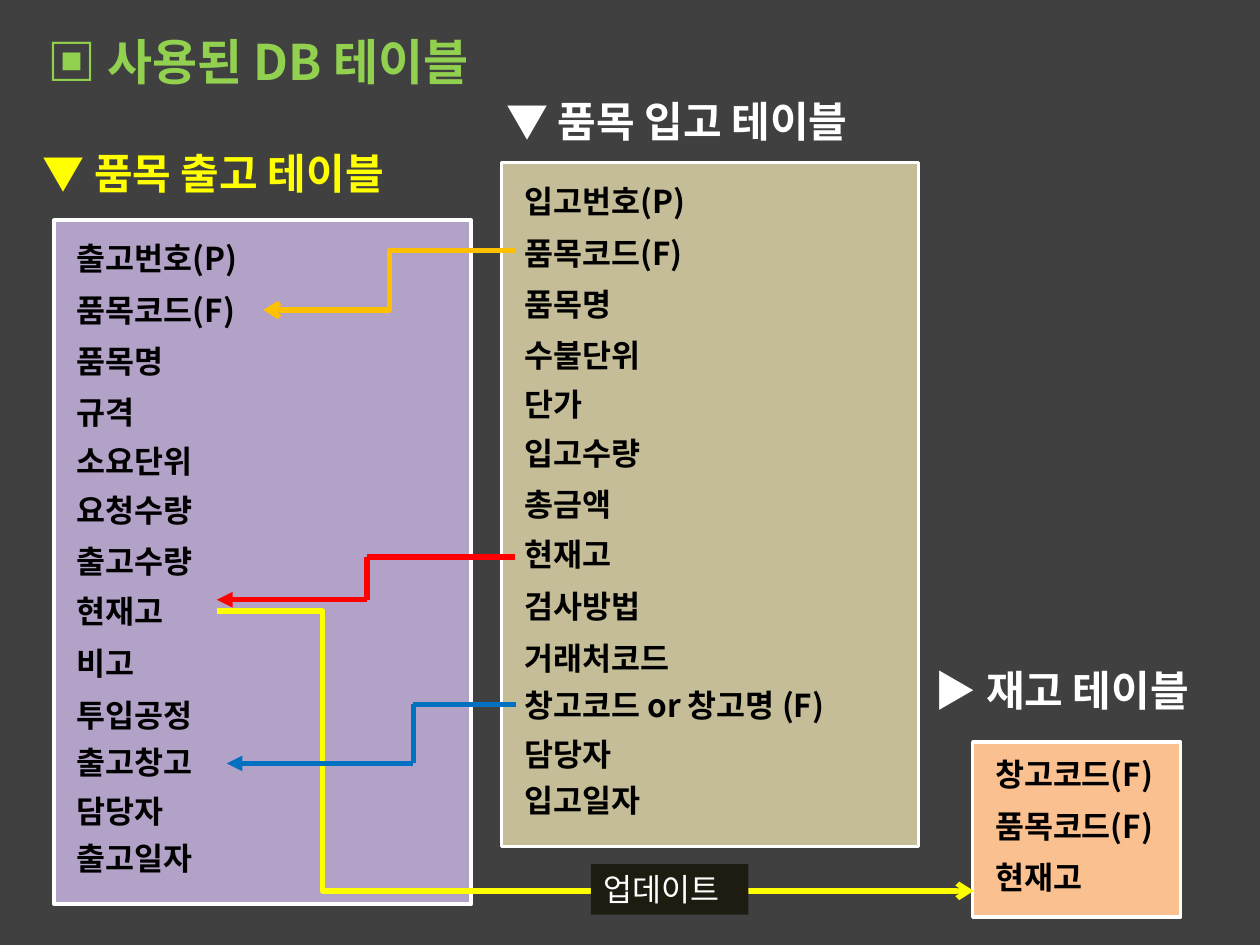
from dataclasses import dataclass
from itertools import pairwise

from lxml import etree
from pptx import Presentation
from pptx import util as u
from pptx.dml.color import RGBColor
from pptx.enum import shapes, text
from pptx.oxml.ns import qn


@dataclass(frozen=True)
class Theme:
    font: str = "Noto Sans CJK KR"
    backdrop: str = "404040"
    green: str = "92D050"
    yellow: str = "FFFF00"
    white: str = "FFFFFF"
    black: str = "000000"
    purple: str = "B3A2C7"
    khaki: str = "C4BD97"
    peach: str = "FAC090"
    label: str = "1E1C11"
    red: str = "FF0000"
    orange: str = "FFC000"
    blue: str = "0070C0"
    title_size: int = 28
    heading_size: int = 24
    field_size: int = 18
    border: int = 2
    connector: int = 3


FIELD_OFFSETS = (0, 1.04, 2.07, 3.1, 4.09, 5.08, 6.1, 7.11, 8.15, 9.2, 10.16, 11.15, 12.08)
FIELD_HEIGHT = 1.02


def set_values(target, values):
    for name, value in values.items():
        setattr(target, name, value)


class SlideBuilder:
    def __init__(self, slide, theme):
        self.slide = slide
        self.theme = theme

    def add_words(self, shape, words, size, color, bold=True):
        frame = shape.text_frame
        set_values(frame, {
            "word_wrap": True,
            "auto_size": text.MSO_AUTO_SIZE.SHAPE_TO_FIT_TEXT,
            "vertical_anchor": text.MSO_ANCHOR.TOP,
        })
        paragraph = frame.paragraphs[0]
        paragraph.alignment = text.PP_ALIGN.LEFT
        run = paragraph.add_run()
        run.text = words
        set_values(run.font, {"name": self.theme.font, "size": u.Pt(size), "bold": bold})
        run.font.color.rgb = RGBColor.from_string(color)
        east_asian = etree.SubElement(run.font._element, qn("a:ea"))
        east_asian.set("typeface", self.theme.font)

    def text_box(self, words, left, top, width, height, size, color):
        shape = self.slide.shapes.add_textbox(*map(u.Cm, (left, top, width, height)))
        self.add_words(shape, words, size, color)

    def rectangle(self, left, top, width, height, fill, border=None):
        shape = self.slide.shapes.add_shape(
            shapes.MSO_SHAPE.RECTANGLE, *map(u.Cm, (left, top, width, height)))
        shape.shadow.inherit = False
        shape.fill.solid()
        shape.fill.fore_color.rgb = RGBColor.from_string(fill)
        if border:
            shape.line.color.rgb = RGBColor.from_string(border)
            shape.line.width = u.Pt(self.theme.border)
        else:
            shape.line.fill.background()
        return shape

    def fields(self, names, left, top, width=3.99):
        for name, offset in zip(names, FIELD_OFFSETS):
            field_width = 7.8 if " or " in name else width
            self.text_box(name, left, top + offset, field_width, FIELD_HEIGHT,
                          self.theme.field_size, self.theme.black)

    def connector(self, begin, end, color, head=None, bend=None):
        kind = shapes.MSO_CONNECTOR.STRAIGHT if bend is None else shapes.MSO_CONNECTOR.ELBOW
        connector = self.slide.shapes.add_connector(kind, *map(u.Cm, (*begin, *end)))
        connector.line.color.rgb = RGBColor.from_string(color)
        connector.line.width = u.Pt(self.theme.connector)
        properties = connector._element.spPr
        if head:
            etree.SubElement(properties.find(qn("a:ln")), qn("a:tailEnd")).set("type", head)
        if bend is not None:
            adjustments = properties.find(qn("a:prstGeom")).find(qn("a:avLst"))
            guide = etree.SubElement(adjustments, qn("a:gd"))
            guide.set("name", "adj1")
            guide.set("fmla", f"val {round(bend * 100000)}")
        etree.SubElement(properties, qn("a:effectLst"))

    def stepped_arrow(self, points, color):
        segments = list(pairwise(points))
        for begin, end in segments[:-1]:
            self.connector(begin, end, color)
        self.connector(*segments[-1], color, head="triangle")


def main():
    presentation = Presentation()
    set_values(presentation, {"slide_width": u.Cm(25.4), "slide_height": u.Cm(19.05)})
    slide = presentation.slides.add_slide(presentation.slide_layouts[6])
    theme = Theme()
    builder = SlideBuilder(slide, theme)

    builder.rectangle(0, 0, 25.4, 19.05, theme.backdrop)
    builder.text_box("▣ 사용된 DB 테이블", 0.71, 0.51, 20.9, 1.45, theme.title_size, theme.green)

    builder.text_box("▼ 품목 출고 테이블", 0.61, 2.84, 8.51, 1.27,
                     theme.heading_size, theme.yellow)
    builder.rectangle(1.09, 4.44, 8.41, 13.79, theme.purple, theme.white)
    builder.fields(
        ("출고번호(P)", "품목코드(F)", "품목명", "규격", "소요단위", "요청수량", "출고수량",
         "현재고", "비고", "투입공정", "출고창고", "담당자", "출고일자"), 1.3, 4.7)

    builder.text_box("▶ 재고 테이블", 18.59, 13.28, 6.6, 1.27, theme.heading_size, theme.white)
    builder.rectangle(19.61, 14.96, 4.19, 3.53, theme.peach, theme.white)
    builder.fields(("창고코드(F)", "품목코드(F)", "현재고"), 19.81, 15.1)

    builder.text_box("▼ 품목 입고 테이블", 9.96, 1.8, 8.51, 1.27,
                     theme.heading_size, theme.white)
    builder.rectangle(10.11, 3.28, 8.41, 13.79, theme.khaki, theme.white)
    builder.fields(
        ("입고번호(P)", "품목코드(F)", "품목명", "수불단위", "단가", "입고수량", "총금액",
         "현재고", "검사방법", "거래처코드", "창고코드 or 창고명 (F)", "담당자", "입고일자"),
        10.32, 3.55)

    builder.connector((10.39, 5.05), (5.31, 6.25), theme.orange, head="arrow", bend=0.5)
    builder.connector((4.37, 12.32), (19.63, 17.96), theme.yellow, head="arrow", bend=0.14)
    builder.stepped_arrow(
        ((10.39, 11.23), (7.4, 11.23), (7.4, 12.09), (4.37, 12.09)), theme.red)
    label = builder.rectangle(11.91, 17.42, 3.18, FIELD_HEIGHT, theme.label)
    builder.add_words(label, "업데이트", theme.field_size, theme.white, bold=False)
    builder.stepped_arrow(
        ((10.41, 14.2), (8.33, 14.2), (8.33, 15.39), (4.57, 15.39)), theme.blue)

    presentation.save("out.pptx")


if __name__ == "__main__":
    main()
